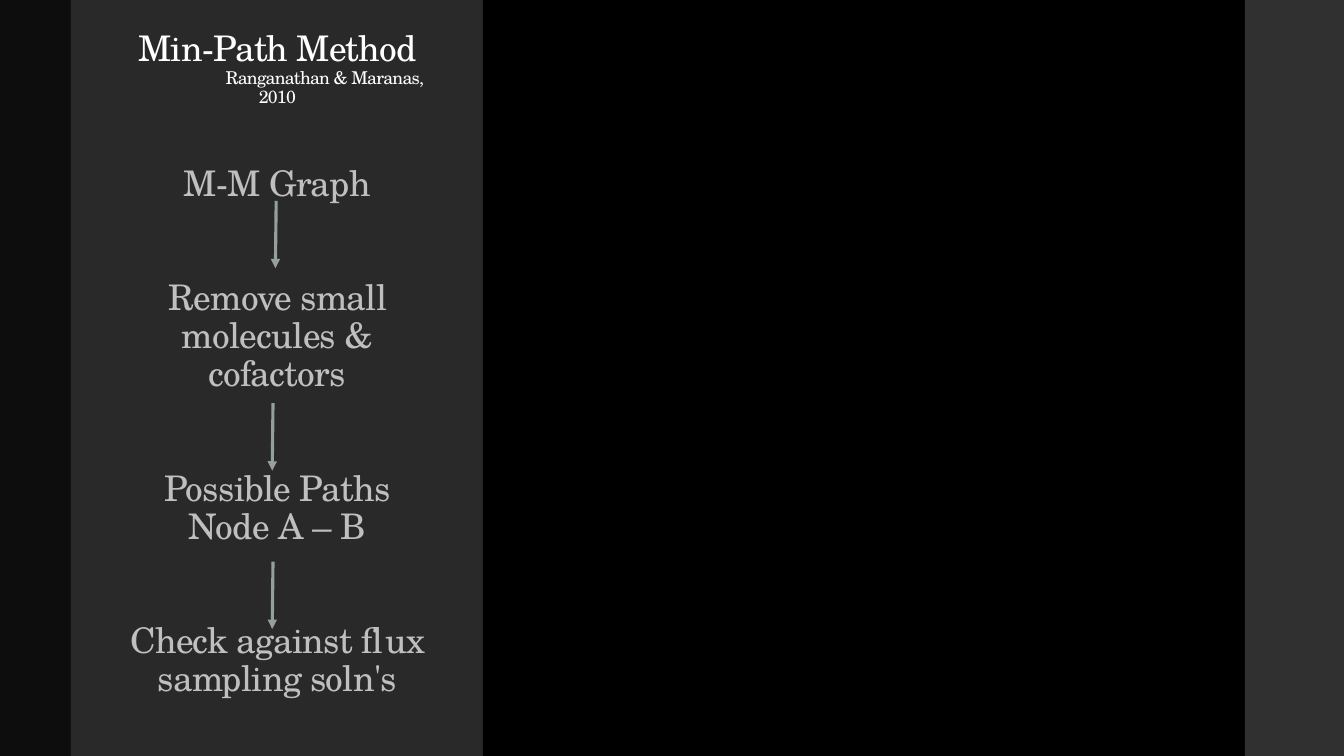
"""Build the Min-Path Method slide: a dark side panel with a four-step flow."""
from pptx import Presentation
from pptx.dml.color import RGBColor
from pptx.enum import shapes, text
from pptx.oxml import parse_xml
from pptx.oxml import ns
from pptx.util import Cm, Pt

COLORS = {"black": "000000", "edge": "0D0D0D", "panel": "292929", "strip": "303030",
          "title": "FFFFFF", "step": "BFBFBF", "arrow": "93A299"}
FONT = "TeX Gyre Schola"
FRAME = {"word_wrap": True, "auto_size": text.MSO_AUTO_SIZE.NONE,
         "vertical_anchor": text.MSO_ANCHOR.TOP, "margin_top": 0, "margin_bottom": 0,
         "margin_left": Cm(0.25), "margin_right": Cm(0.25)}


def rgb(name):
    return RGBColor.from_string(COLORS[name])


def fill_text(sp, top, height, paragraphs, color):
    sp.left, sp.top, sp.width, sp.height = Cm(2.7), Cm(top), Cm(8.58), Cm(height)
    tf = sp.text_frame
    for key, value in FRAME.items():
        setattr(tf, key, value)
    for i, (words, size, before, indent) in enumerate(paragraphs):
        p = tf.paragraphs[0] if i == 0 else tf.add_paragraph()
        pPr = p._p.get_or_add_pPr()
        pPr.set("marL", "0")
        pPr.set("indent", str(Cm(indent)))
        pPr.append(parse_xml(f"<a:buNone {ns.nsdecls('a')}/>"))
        style = {"alignment": text.PP_ALIGN.CENTER, "line_spacing": 0.9,
                 "space_before": Pt(before), "space_after": Pt(0)}
        for key, value in style.items():
            setattr(p, key, value)
        p.text = words
        for r in p.runs:
            r.font.name, r.font.size = FONT, Pt(size)
            r.font.color.rgb = rgb(color)
            r._r.get_or_add_rPr().set("spc", "-50")


prs = Presentation()
prs.slide_width, prs.slide_height = Cm(33.87), Cm(19.05)
s = prs.slides.add_slide(prs.slide_layouts[1])
s.background.fill.solid()
s.background.fill.fore_color.rgb = rgb("black")

panels = [("edge", 0, 1.78), ("panel", 1.78, 10.39),
          ("black", 12.17, 19.2), ("strip", 31.37, 2.5)]
for color, left, width in panels:
    sp = s.shapes.add_shape(shapes.MSO_SHAPE.RECTANGLE, Cm(left), 0, Cm(width), prs.slide_height)
    sp.shadow.inherit = False
    sp.fill.solid()
    sp.fill.fore_color.rgb = rgb(color)
    sp.line.fill.background()

title, body = s.placeholders
fill_text(title, 0.78, 2.2, [("Min-Path Method", 25.2, 0, 0),
                             ("Ranganathan & Maranas, 2010", 12.6, 0, 2.37)], "title")
steps = ["M-M Graph", "Remove small molecules & cofactors",
         "Possible Paths\vNode A – B", "Check against flux sampling soln's"]
fill_text(body, 4.18, 13.8,
          [(step, 25.2, 54.4 if i else 0, 0) for i, step in enumerate(steps)], "step")
for sp in (title, body):
    s.shapes._spTree.append(sp._element)

for x, y in [(6.96, 5.06), (6.88, 10.16), (6.88, 14.15)]:
    arrow = s.shapes.add_connector(shapes.MSO_CONNECTOR.STRAIGHT,
                                   Cm(x), Cm(y), Cm(x - 0.02), Cm(y + 1.7))
    arrow.line.color.rgb = rgb("arrow")
    arrow.line.width = Pt(2.25)
    arrow.line._get_or_add_ln().append(
        parse_xml(f'<a:tailEnd {ns.nsdecls("a")} type="triangle"/>'))
    arrow._element.spPr.append(parse_xml(f"<a:effectLst {ns.nsdecls('a')}/>"))

prs.save("out.pptx")
